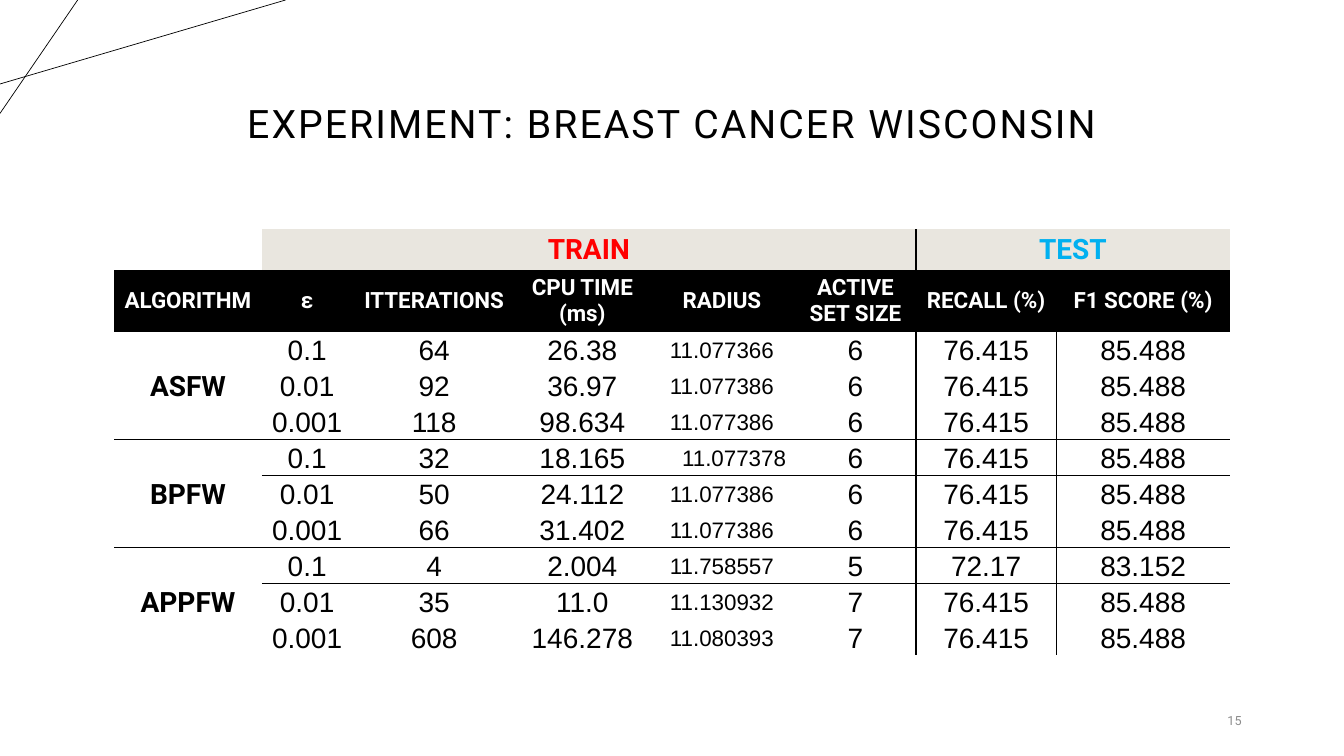
"""Builds the slide with the results table of the breast cancer experiment."""
from lxml import etree
from pptx import Presentation
from pptx.dml.color import RGBColor
from pptx.enum.shapes import MSO_CONNECTOR
from pptx.enum.text import MSO_ANCHOR, PP_ALIGN
from pptx.oxml.ns import qn
from pptx.util import Pt

LEFT, CENTER, RIGHT = PP_ALIGN.LEFT, PP_ALIGN.CENTER, PP_ALIGN.RIGHT
MIDDLE = MSO_ANCHOR.MIDDLE
STRAIGHT = MSO_CONNECTOR.STRAIGHT

TITLE = "EXPERIMENT: BREAST CANCER WISCONSIN"
PAGE = "15"
HEADS = ["ALGORITHM", "ε", "ITTERATIONS", "CPU TIME (ms)", "RADIUS",
         "ACTIVE SET SIZE", "RECALL (%)", "F1 SCORE (%)"]
RESULTS = {
    "ASFW": [
        ("0.1", "64", "26.38", "11.077366", "6", "76.415", "85.488"),
        ("0.01", "92", "36.97", "11.077386", "6", "76.415", "85.488"),
        ("0.001", "118", "98.634", "11.077386", "6", "76.415", "85.488"),
    ],
    "BPFW": [
        ("0.1", "32", "18.165", "11.077378", "6", "76.415", "85.488"),
        ("0.01", "50", "24.112", "11.077386", "6", "76.415", "85.488"),
        ("0.001", "66", "31.402", "11.077386", "6", "76.415", "85.488"),
    ],
    "APPFW": [
        ("0.1", "4", "2.004", "11.758557", "5", "72.17", "83.152"),
        ("0.01", "35", "11.0", "11.130932", "7", "76.415", "85.488"),
        ("0.001", "608", "146.278", "11.080393", "7", "76.415", "85.488"),
    ],
}
RAYS = [(0, 60, 204, 0), (55.5, 0, 0, 81)]
WIDTHS = [105.4, 64.8, 116.7, 95, 104.4, 86.4, 100.3, 124]
HEIGHTS = [29.3, 43.5] + [23.9] * 9
RADIUS, SPLIT, FIRST, GROUP = 4, 6, 2, 3
SHIFTED = (5, RADIUS)
PLAIN = "{2D5ABB26-0587-4C30-8999-92F81FD0307C}"

THEME = {
    "head": "Roboto", "body": "Arial",
    "ink": "000000", "paper": "FFFFFF", "band": "E9E6DF",
    "train": "FF0000", "test": "00B0F0", "muted": "8C8C8C",
    "title": 28, "large": 20, "small": 16, "page": 9,
}


def rgb(key):
    return RGBColor.from_string(THEME[key])


def style(para, face, size, color, align=CENTER, bold=False):
    para.alignment = align
    font = para.font
    font.name, font.size, font.bold = THEME[face], Pt(THEME[size]), bold
    font.color.rgb = rgb(color)


def add_text(slide, box, text, size, color, align):
    frame = slide.shapes.add_textbox(*map(Pt, box)).text_frame
    frame.word_wrap = True
    frame.vertical_anchor = MIDDLE
    para = frame.paragraphs[0]
    para.text = text
    style(para, "head", size, color, align)
    return para


def add_ray(slide, ends):
    ray = slide.shapes.add_connector(STRAIGHT, *map(Pt, ends))
    ray.line.color.rgb = rgb("ink")
    ray.line.width = Pt(0.5)
    etree.SubElement(ray._element.spPr, qn("a:effectLst"))


def add_edges(cell, sides):
    props = cell._tc.get_or_add_tcPr()
    for side in sides:
        edge = etree.SubElement(props, qn("a:ln" + side), w=str(Pt(1)))
        fill = etree.SubElement(edge, qn("a:solidFill"))
        etree.SubElement(fill, qn("a:srgbClr"), val=THEME["ink"])


def edges(row, col):
    step = (row - FIRST) % GROUP
    body, last = row >= FIRST, row >= FIRST + 2 * GROUP
    sides = []
    if col == SPLIT:
        sides.append("L")
    if col == SPLIT - 1 or (row, col) == (0, 1):
        sides.append("R")
    if body and row > FIRST and step == 0:
        sides.append("T")
    if body and not last and (step == GROUP - 1 or col == 0):
        sides.append("B")
    return sides


def fill_cell(cell, row, col, text):
    body = row >= FIRST
    add_edges(cell, edges(row, col))
    cell.vertical_anchor = MIDDLE
    cell.margin_left = cell.margin_right = Pt(5.4)
    cell.margin_top = cell.margin_bottom = Pt(0 if body else 2.7)
    para = cell.text_frame.paragraphs[0]
    para.text = text
    if body:
        para.line_spacing, para.space_after = 1.07, Pt(4)
        cell.fill.background()
        face = "body" if col else "head"
        size = "small" if col == RADIUS else "large"
        style(para, face, size, "ink", bold=col == 0)
    elif row == 1:
        cell.fill.solid()
        cell.fill.fore_color.rgb = rgb("ink")
        style(para, "head", "small", "paper", bold=True)
    else:
        color = "test" if col >= SPLIT else "train"
        style(para, "head", "large", color, bold=True)
        if col:
            cell.fill.solid()
            cell.fill.fore_color.rgb = rgb("band")
        else:
            cell.fill.background()
    if (row, col) == SHIFTED:
        para.alignment = LEFT
        cell.margin_left = Pt(23.8)


def add_results(slide):
    top = [""] * len(HEADS)
    top[1], top[SPLIT] = "TRAIN", "TEST"
    rows = [top, HEADS]
    for name, runs in RESULTS.items():
        rows += [(name if i == 0 else "", *run) for i, run in enumerate(runs)]
    box = (81.6, 163.6, sum(WIDTHS), sum(HEIGHTS))
    table = slide.shapes.add_table(len(rows), len(HEADS), *map(Pt, box)).table
    table.first_row = table.horz_banding = False
    table._tbl.tblPr.find(qn("a:tableStyleId")).text = PLAIN
    for column, width in zip(table.columns, WIDTHS):
        column.width = Pt(width)
    for line, height in zip(table.rows, HEIGHTS):
        line.height = Pt(height)
    for r, row in enumerate(rows):
        for c, text in enumerate(row):
            fill_cell(table.cell(r, c), r, c, text)
    table.cell(0, 1).merge(table.cell(0, SPLIT - 1))
    table.cell(0, SPLIT).merge(table.cell(0, len(HEADS) - 1))
    for r in range(FIRST, len(rows), GROUP):
        table.cell(r, 0).merge(table.cell(r + GROUP - 1, 0))


def main():
    deck = Presentation()
    deck.slide_width, deck.slide_height = Pt(960), Pt(540)
    slide = deck.slides.add_slide(deck.slide_layouts[6])
    for ray in RAYS:
        add_ray(slide, ray)
    title = add_text(slide, (66, 37.5, 828, 104.5), TITLE, "title", "ink", CENTER)
    title.line_spacing = 0.9
    title.runs[0].font._element.set("spc", "150")
    add_text(slide, (678, 500.5, 216, 28.8), PAGE, "page", "muted", RIGHT)
    add_results(slide)
    deck.save("out.pptx")


if __name__ == "__main__":
    main()
